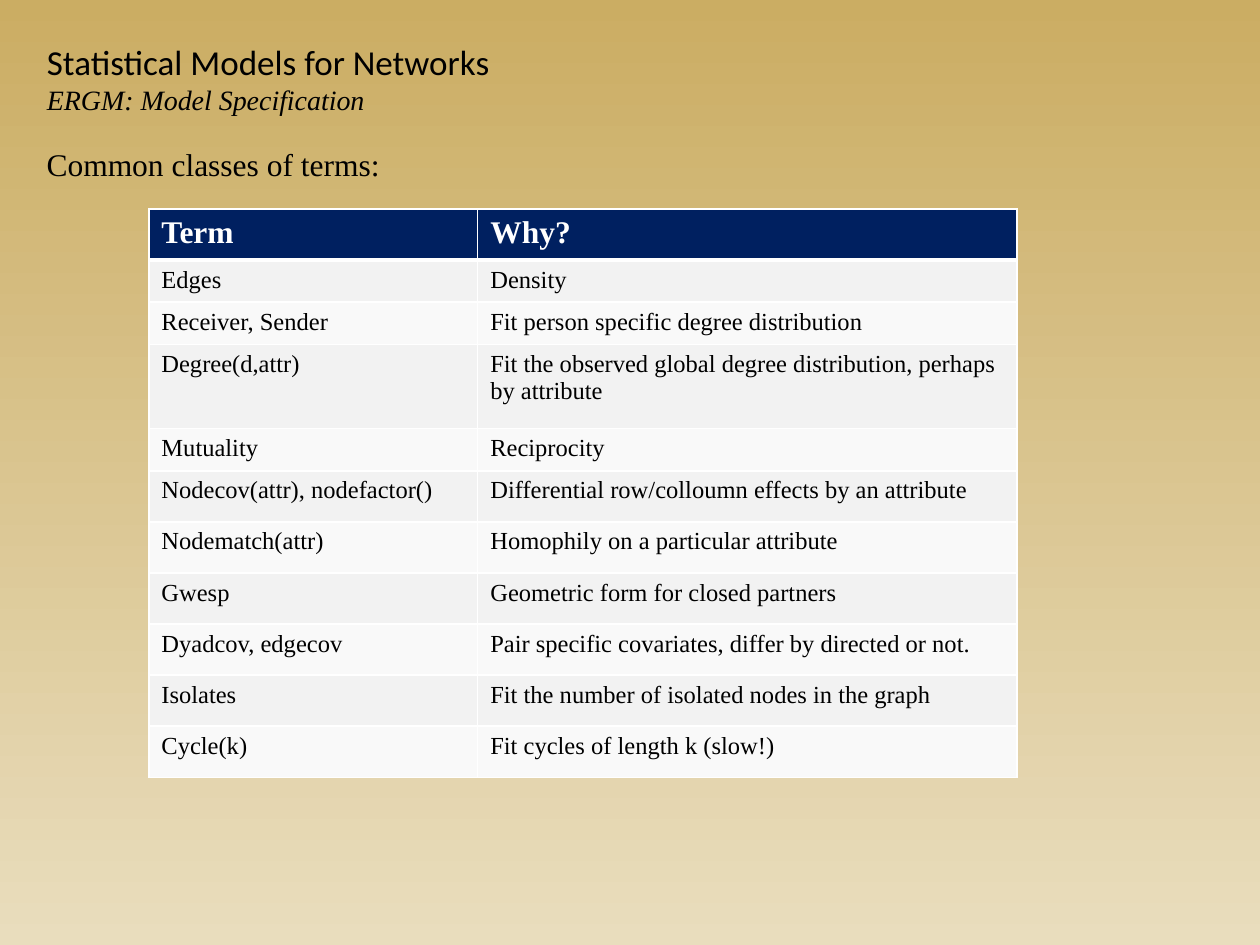
from dataclasses import dataclass

from lxml.etree import SubElement
from pptx import Presentation
from pptx.dml.color import RGBColor
from pptx.enum.text import MSO_ANCHOR, MSO_AUTO_SIZE, PP_ALIGN
from pptx.oxml.ns import qn
from pptx.util import Cm, Pt


@dataclass(frozen=True)
class Theme:
    """Colours, fonts and type sizes of the slide."""
    sky: str = "CBAD63"
    ground: str = "E9DDBD"
    ink: str = "000000"
    light: str = "FFFFFF"
    header: str = "002060"
    bands: tuple = ("F2F2F2", "F9F9F9")
    heading_font: str = "Calibri"
    text_font: str = "Times New Roman"
    heading: int = 20
    subheading: int = 16
    lead: int = 18
    cell: int = 14
    rule: int = 1
    header_rule: int = 3


@dataclass(frozen=True)
class Box:
    """A region of the slide in centimetres."""
    left: float
    top: float
    width: float
    height: float

    def lengths(self):
        """Return the region as slide lengths."""
        return [Cm(side) for side in (self.left, self.top, self.width, self.height)]


THEME = Theme()

TERMS = [
    ("Term", "Why?", 1.03),
    ("Edges", "Density", 0.85),
    ("Receiver, Sender", "Fit person specific degree distribution", 0.85),
    ("Degree(d,attr)",
     "Fit the observed global degree distribution, perhaps by attribute", 1.7),
    ("Mutuality", "Reciprocity", 0.85),
    ("Nodecov(attr), nodefactor()",
     "Differential row/colloumn effects by an attribute", 1.03),
    ("Nodematch(attr)", "Homophily on a particular attribute", 1.03),
    ("Gwesp", "Geometric form for closed partners", 1.03),
    ("Dyadcov, edgecov",
     "Pair specific covariates, differ by directed or not.", 1.03),
    ("Isolates", "Fit the number of isolated nodes in the graph", 1.03),
    ("Cycle(k)", "Fit cycles of length k (slow!)", 1.03),
]


def add_run(paragraph, text, size, font=THEME.text_font, color=THEME.ink,
            bold=False, italic=False):
    """Add one formatted run to a paragraph."""
    run = paragraph.add_run()
    run.text = text
    run.font.size = Pt(size)
    run.font.name = font
    run.font.color.rgb = RGBColor.from_string(color)
    run.font.bold = bold
    run.font.italic = italic


def fit_frame(frame):
    """Let a text frame grow with unwrapped text from its top."""
    frame.word_wrap = False
    frame.auto_size = MSO_AUTO_SIZE.SHAPE_TO_FIT_TEXT
    frame.vertical_anchor = MSO_ANCHOR.TOP


def paint_background(slide):
    """Fill the background with a gradient running downwards."""
    fill = slide.background.fill
    fill.gradient()
    fill.gradient_angle = 270
    for stop, color in zip(fill.gradient_stops, (THEME.sky, THEME.ground)):
        stop.color.rgb = RGBColor.from_string(color)


def place_title(slide, box):
    """Place the heading and its subheading in the title placeholder."""
    title = slide.shapes.title
    title.left, title.top, title.width, title.height = box.lengths()
    frame = title.text_frame
    fit_frame(frame)
    heading, subheading = frame.paragraphs[0], frame.add_paragraph()
    for line in (heading, subheading):
        line.alignment = PP_ALIGN.LEFT
    add_run(heading, "Statistical Models for Networks", THEME.heading,
            font=THEME.heading_font)
    add_run(subheading, "ERGM: Model Specification", THEME.subheading, italic=True)


def place_lead(slide, box):
    """Place the line that introduces the table."""
    frame = slide.shapes.add_textbox(*box.lengths()).text_frame
    fit_frame(frame)
    add_run(frame.paragraphs[0], "Common classes of terms:", THEME.lead)


def rule_cell(cell, top, bottom):
    """Draw the borders of a cell with the given top and bottom widths."""
    properties = cell._tc.get_or_add_tcPr()
    widths = {"L": THEME.rule, "R": THEME.rule, "T": top, "B": bottom}
    for side, width in widths.items():
        border = SubElement(properties, qn(f"a:ln{side}"), w=str(Pt(width)))
        solid = SubElement(border, qn("a:solidFill"))
        SubElement(solid, qn("a:srgbClr"), val=THEME.light)


def place_terms(slide, box):
    """Place the table of terms and the reasons for using them."""
    table = slide.shapes.add_table(len(TERMS), 2, *box.lengths()).table
    term_width = 6.63
    table.columns[0].width = Cm(term_width)
    table.columns[1].width = Cm(box.width - term_width)
    for index, (term, reason, height) in enumerate(TERMS):
        table.rows[index].height = Cm(height)
        is_header = index == 0
        fill = THEME.header if is_header else THEME.bands[(index - 1) % 2]
        top = THEME.header_rule if index == 1 else THEME.rule
        bottom = THEME.header_rule if is_header else THEME.rule
        for column, text in enumerate((term, reason)):
            cell = table.cell(index, column)
            rule_cell(cell, top, bottom)
            cell.fill.solid()
            cell.fill.fore_color.rgb = RGBColor.from_string(fill)
            add_run(cell.text_frame.paragraphs[0], text,
                    THEME.lead if is_header else THEME.cell,
                    color=THEME.light if is_header else THEME.ink,
                    bold=is_header)


def main():
    """Build the slide and save it."""
    deck = Presentation()
    deck.slide_width, deck.slide_height = Cm(25.4), Cm(19.05)
    slide = deck.slides.add_slide(deck.slide_layouts[5])
    paint_background(slide)
    place_title(slide, Box(0.69, 0.69, 9.55, 1.8))
    place_lead(slide, Box(0.69, 2.8, 7.29, 1.02))
    place_terms(slide, Box(3, 4.21, 17.5, sum(height for _, _, height in TERMS)))
    deck.save("out.pptx")


if __name__ == "__main__":
    main()
